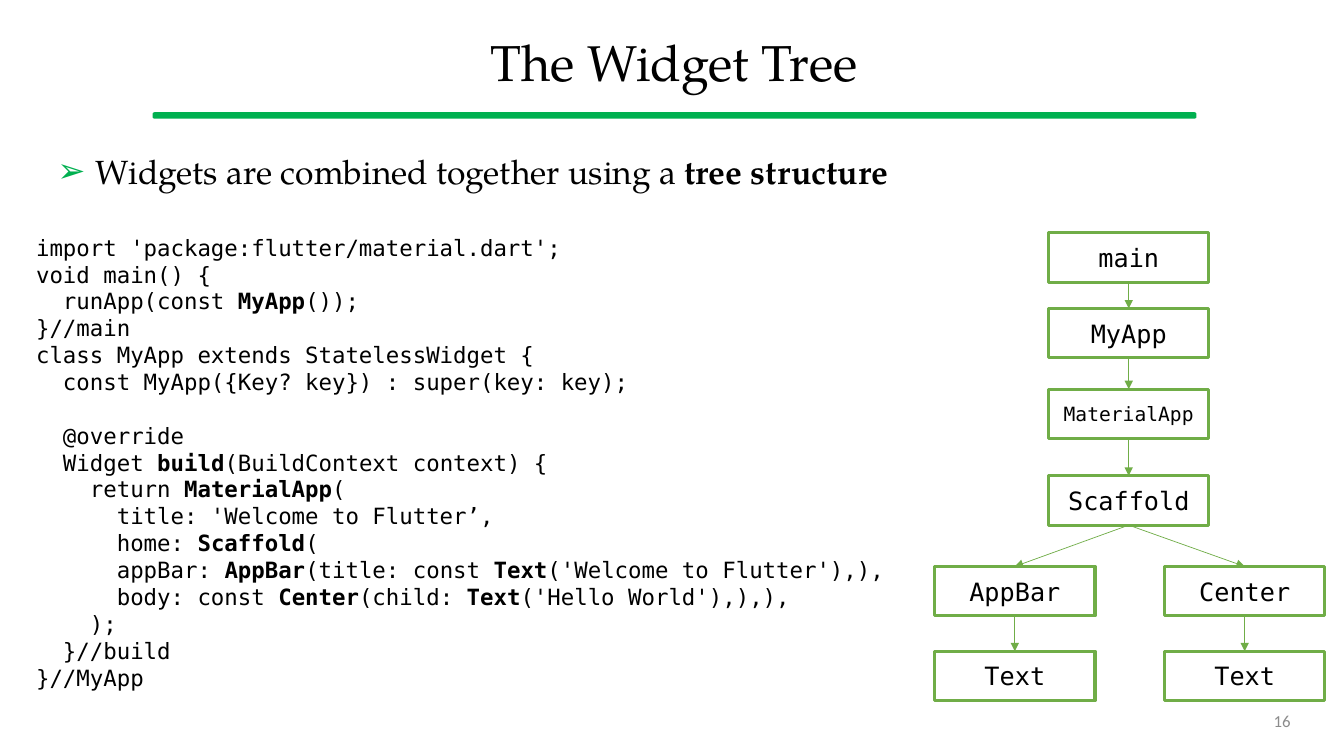
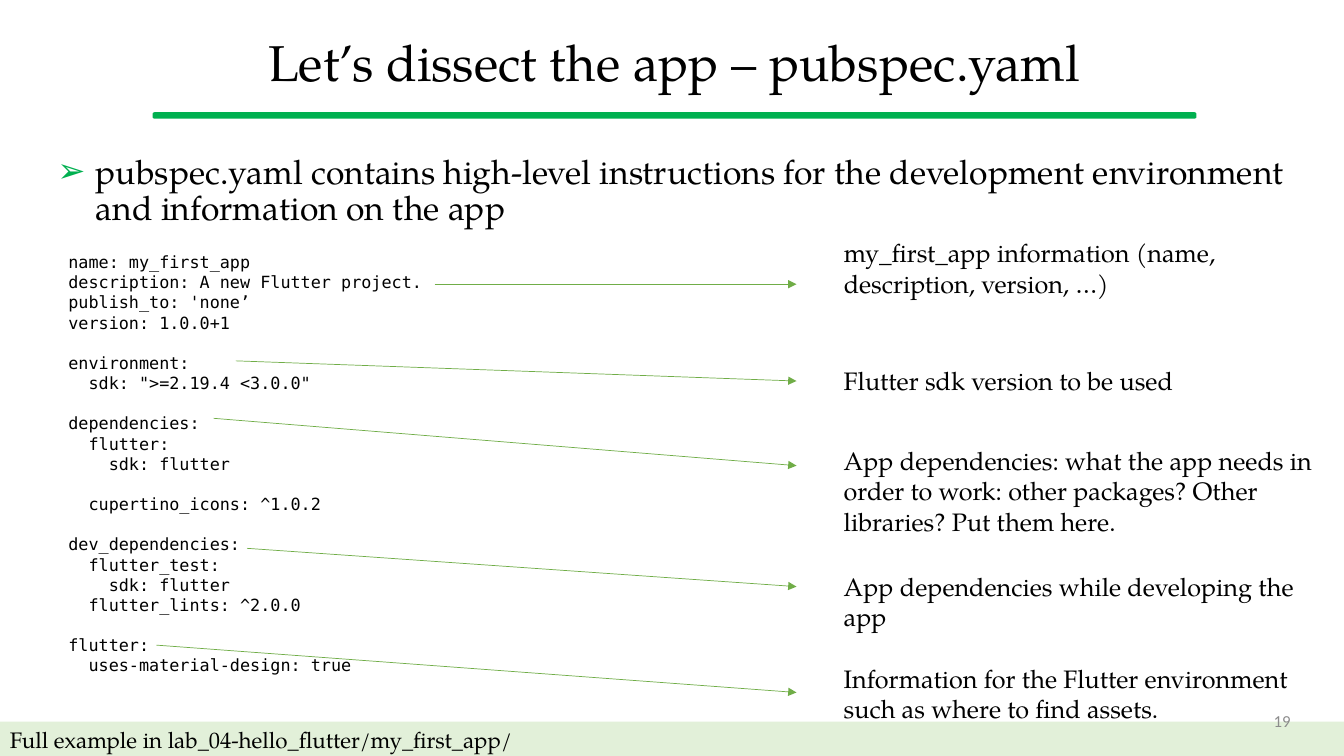
"""Builds two slides on an app framework: the widget tree and pubspec.yaml."""
from lxml import etree
from pptx import Presentation
from pptx import util as u
from pptx.dml.color import RGBColor
from pptx.enum import shapes, text
from pptx.oxml import ns

THEME = {
    "rule": "00B050", "accent": "70AD47", "band": "E2F0D9",
    "ink": "000000", "paper": "FFFFFF", "muted": "8C8C8C",
    "serif": "TeX Gyre Pagella", "mono": "DejaVu Sans Mono", "plain": "Calibri",
    "title": 36, "lead": 24, "note": 18, "node": 18, "long_node": 14,
    "band_text": 16, "number": 12, "tree_code": 16, "yaml_code": 12,
}
WIDTH, HEIGHT = 13.33, 7.5
LEFT, FULL = 0.47, 12.43

TREE = {
    "title": "The Widget Tree", "number": "16",
    "lead": "Widgets are combined together using a **tree structure**",
    "lead_box": (LEFT, 1.49, 11.93, 5.83),
}
TREE_CODE = """import 'package:flutter/material.dart';
void main() {
  runApp(const **MyApp**());
}//main
class MyApp extends StatelessWidget {
  const MyApp({Key? key}) : super(key: key);

  @override
  Widget **build**(BuildContext context) {
    return **MaterialApp**(
      title: 'Welcome to Flutter’,
      home: **Scaffold**(
      appBar: **AppBar**(title: const **Text**('Welcome to Flutter'),),
      body: const **Center**(child: **Text**('Hello World'),),),
    );
  }//build
}//MyApp"""
NODE_SIZE = (1.59, 0.49)
COLUMNS = {"left": 9.27, "middle": 10.4, "right": 11.55}
ROWS = (2.31, 3.06, 3.86, 4.72, 5.62, 6.46)
NODES = [
    ("main", "middle", 0, None), ("MyApp", "middle", 1, 0),
    ("MaterialApp", "middle", 2, 1), ("Scaffold", "middle", 3, 2),
    ("AppBar", "left", 4, 3), ("Center", "right", 4, 3),
    ("Text", "left", 5, 4), ("Text", "right", 5, 5),
]

YAML = {
    "title": "Let’s dissect the app – pubspec.yaml", "number": "19",
    "lead": "pubspec.yaml contains high-level instructions for the development "
            "environment and information on the app",
    "lead_box": (LEFT, 1.49, FULL, 0.96),
}
YAML_CODE = """name: my_first_app
description: A new Flutter project.
publish_to: 'none’
version: 1.0.0+1

environment:
  sdk: ">=2.19.4 <3.0.0"

dependencies:
  flutter:
    sdk: flutter

  cupertino_icons: ^1.0.2

dev_dependencies:
  flutter_test:
    sdk: flutter
  flutter_lints: ^2.0.0

flutter:
  uses-material-design: true"""
ARROW_END, NOTE_LEFT = 7.9, 8.27
NOTES = [
    ("my_first_app information (name, description, version, …)",
     (4.31, 2.82), 2.82, (2.31, 4.48, 0.71)),
    ("Flutter sdk version to be used",
     (2.34, 3.58), 3.78, (3.58, 4.33, 0.4)),
    ("App dependencies: what the app needs in order to work: other packages? "
     "Other libraries? Put them here.",
     (2.12, 4.15), 4.62, (4.37, 4.86, 1.01)),
    ("App dependencies while developing the app",
     (2.45, 5.44), 5.82, (5.62, 4.86, 0.71)),
    ("Information for the Flutter environment such as where to find assets.",
     (1.55, 6.4), 6.87, (6.53, 4.86, 0.71)),
]
BAND = "Full example in lab_04-hello_flutter/my_first_app/"


def inches(values):
    return [u.Inches(value) for value in values]


def color(name):
    return RGBColor.from_string(THEME[name])


def apply(target, formats):
    for name, value in formats.items():
        setattr(target, name, value)


def write(paragraph, words, size, font="serif", ink="ink", **formats):
    """Adds runs to a paragraph; double asterisks switch bold on and off."""
    apply(paragraph, formats)
    for index, part in enumerate(words.split("**")):
        if part:
            run = paragraph.add_run()
            run.text = part
            apply(run.font, {"size": u.Pt(THEME[size]), "name": THEME[font],
                             "bold": index % 2 == 1})
            run.font.color.rgb = color(ink)


def place(shape, box):
    apply(shape, dict(zip(("left", "top", "width", "height"), inches(box))))
    return shape


def set_frame(shape, anchor=text.MSO_ANCHOR.TOP, **formats):
    apply(shape.text_frame, {"word_wrap": True, "vertical_anchor": anchor,
                             "auto_size": text.MSO_AUTO_SIZE.NONE, **formats})
    return shape.text_frame.paragraphs[0]


def add_text(slide, box, words, size, anchor=text.MSO_ANCHOR.TOP, **formats):
    paragraph = set_frame(slide.shapes.add_textbox(*inches(box)), anchor)
    write(paragraph, words, size, **formats)


def add_block(slide, kind, box, fill, line=None, weight=1):
    block = slide.shapes.add_shape(kind, *inches(box))
    block.shadow.inherit = False
    block.fill.solid()
    block.fill.fore_color.rgb = color(fill)
    if line:
        block.line.color.rgb = color(line)
        block.line.width = u.Pt(weight)
    else:
        block.line.fill.background()
    return block


def add_arrow(slide, start, end):
    arrow = slide.shapes.add_connector(shapes.MSO_CONNECTOR.STRAIGHT, *inches(start + end))
    arrow.line.color.rgb = color("accent")
    arrow.line.width = u.Pt(0.5)
    outline = arrow.line._get_or_add_ln()
    etree.SubElement(outline, ns.qn("a:tailEnd"), type="triangle")
    etree.SubElement(arrow.element.spPr, ns.qn("a:effectLst"))
    return arrow


def add_code(slide, box, code, size):
    """Gives each line a paragraph and turns empty lines into space before."""
    frame = slide.shapes.add_textbox(*inches(box)).text_frame
    frame.word_wrap = True
    pitch = u.Pt(THEME[size] * 1.2)
    paragraph, gap = frame.paragraphs[0], 0
    for index, line in enumerate(code.split("\n")):
        if not line:
            gap = pitch
            continue
        if index:
            paragraph = frame.add_paragraph()
        write(paragraph, line, size, "mono", line_spacing=pitch, space_before=gap)
        gap = 0


def add_rule(layout, slide):
    """Draws the title rule and moves it to the shared layout."""
    rule = add_block(slide, shapes.MSO_SHAPE.ROUNDED_RECTANGLE,
                     (1.52, 1.12, 10.34, 0.05), "rule", "rule")
    rule.adjustments[0] = 0.26
    layout.shapes.element.append(rule.element)


def start_slide(deck, content):
    slide = deck.slides.add_slide(deck.slide_layouts[1])
    title, lead = slide.placeholders
    paragraph = set_frame(place(title, (LEFT, 0.18, FULL, 0.94)), text.MSO_ANCHOR.MIDDLE)
    write(paragraph, content["title"], "title", line_spacing=0.9,
          alignment=text.PP_ALIGN.CENTER)
    paragraph = set_frame(place(lead, content["lead_box"]))
    properties = paragraph._p.get_or_add_pPr()
    indent = u.Inches(0.38)
    properties.set("marL", str(indent))
    properties.set("indent", str(-indent))
    bullet = etree.SubElement(properties, ns.qn("a:buClr"))
    etree.SubElement(bullet, ns.qn("a:srgbClr"), val=THEME["rule"])
    etree.SubElement(properties, ns.qn("a:buChar"), char="➢")
    write(paragraph, content["lead"], "lead", line_spacing=0.9, space_before=0)
    return slide


def add_number(slide, content):
    add_text(slide, (9.42, 6.95, 3.48, 0.4), content["number"], "number",
             text.MSO_ANCHOR.MIDDLE, font="plain", ink="muted",
             alignment=text.PP_ALIGN.RIGHT)


def add_tree(slide):
    placed = []
    for label, column, row, parent in NODES:
        box = (COLUMNS[column], ROWS[row]) + NODE_SIZE
        node = add_block(slide, shapes.MSO_SHAPE.RECTANGLE, box, "paper", "accent", 2.25)
        size = "long_node" if len(label) > 8 else "node"
        write(set_frame(node, text.MSO_ANCHOR.MIDDLE), label, size, "mono",
              alignment=text.PP_ALIGN.CENTER)
        placed.append(node)
        if parent is not None:
            branch = add_arrow(slide, (0, 0), (1, 1))
            branch.begin_connect(placed[parent], 2)
            branch.end_connect(node, 0)


def add_notes(slide):
    for words, start, end, (top, width, height) in NOTES:
        add_arrow(slide, start, (ARROW_END, end))
        add_text(slide, (NOTE_LEFT, top, width, height), words, "note")


def add_band(slide):
    top = 7.16
    band = add_block(slide, shapes.MSO_SHAPE.RECTANGLE,
                     (0, top, WIDTH, HEIGHT - top), "band")
    paragraph = set_frame(band, text.MSO_ANCHOR.MIDDLE,
                          margin_top=u.Inches(0.06), margin_bottom=u.Inches(0.02))
    write(paragraph, BAND, "band_text", line_spacing=0.9, alignment=text.PP_ALIGN.LEFT)


def main():
    deck = Presentation()
    deck.slide_width, deck.slide_height = inches((WIDTH, HEIGHT))

    tree = start_slide(deck, TREE)
    add_rule(deck.slide_layouts[1], tree)
    add_tree(tree)
    add_code(tree, (0.26, 2.27, 10.02, 4.85), TREE_CODE, "tree_code")
    add_number(tree, TREE)

    yaml = start_slide(deck, YAML)
    add_code(yaml, (0.58, 2.45, 7.57, 4.34), YAML_CODE, "yaml_code")
    add_notes(yaml)
    add_band(yaml)
    add_number(yaml, YAML)

    deck.save("out.pptx")


if __name__ == "__main__":
    main()
